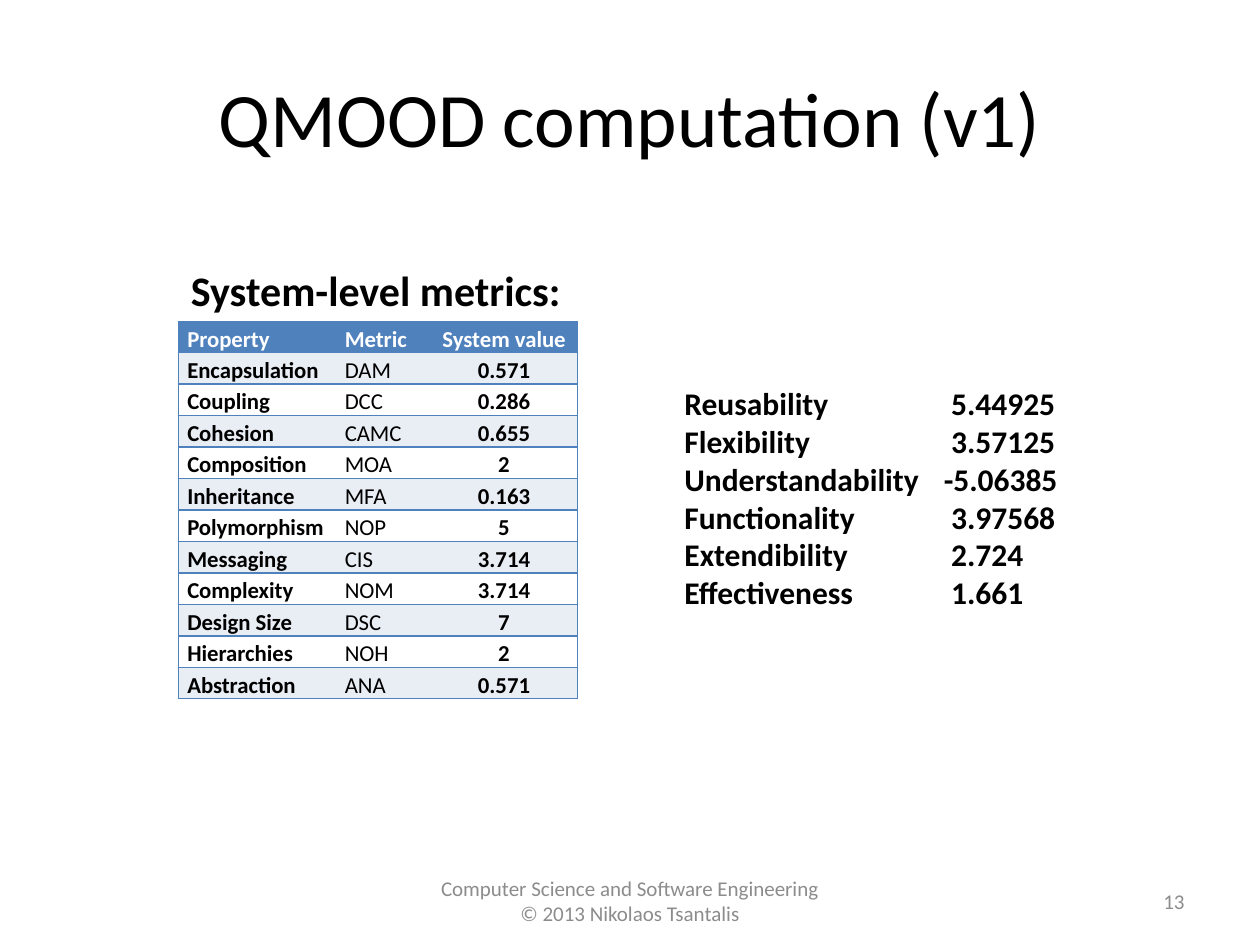
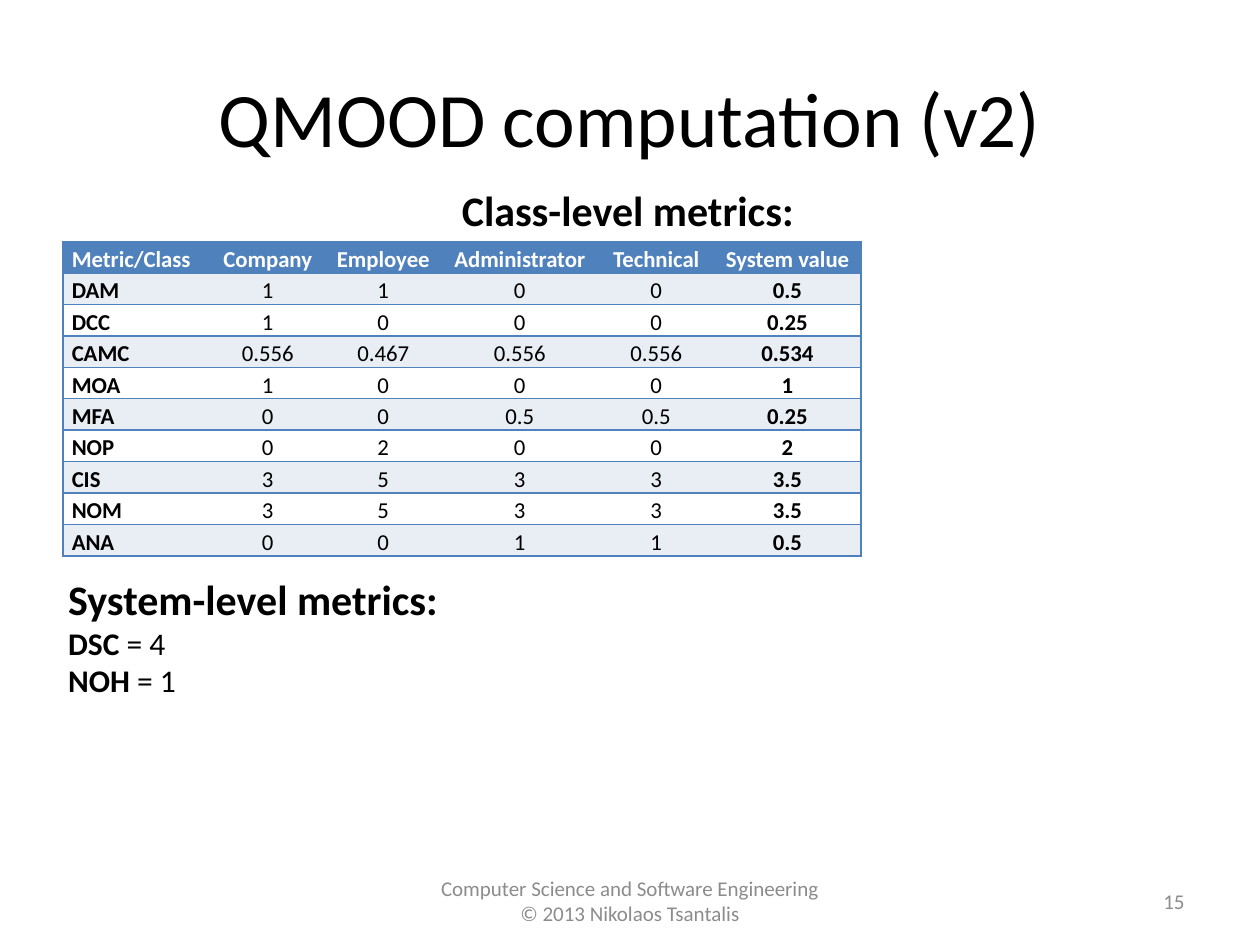
from pptx import Presentation
from pptx.dml.color import RGBColor
from pptx.enum.text import MSO_ANCHOR, PP_ALIGN
from pptx.oxml.ns import qn
from pptx.util import Inches, Pt
from lxml import etree

LEFT, CENTER, RIGHT = PP_ALIGN.LEFT, PP_ALIGN.CENTER, PP_ALIGN.RIGHT
TOP, MIDDLE = MSO_ANCHOR.TOP, MSO_ANCHOR.MIDDLE
BLUE, BAND, WHITE, BLACK, GRAY = "4F81BD", "E9EDF4", "FFFFFF", "000000", "8C8C8C"
FONT = "Calibri"
TITLE_ONLY = 5
COLUMNS, ROWS = 120, 90
ROW_HEIGHT = 2.99


def color(hex_code):
    return RGBColor.from_string(hex_code)


class Deck:
    def __init__(self):
        self.presentation = Presentation()
        self.presentation.slide_width = Inches(10)
        self.presentation.slide_height = Inches(7.5)
        self.column = self.presentation.slide_width / COLUMNS
        self.row = self.presentation.slide_height / ROWS
        self.slide = None

    def place(self, left, top, width, height):
        return (round(left * self.column), round(top * self.row),
                round(width * self.column), round(height * self.row))

    def run(self, paragraph, text, size, hex_code=BLACK, bold=False):
        run = paragraph.add_run()
        run.text = text
        run.font.name = FONT
        run.font.size = Pt(size)
        run.font.bold = bold
        run.font.color.rgb = color(hex_code)

    def start_slide(self, title, number):
        layout = self.presentation.slide_layouts[TITLE_ONLY]
        self.slide = self.presentation.slides.add_slide(layout)
        heading = self.slide.shapes.title
        heading.left, heading.top, heading.width, heading.height = self.place(6, 3.6, 108, 15)
        paragraph = heading.text_frame.paragraphs[0]
        paragraph.alignment = CENTER
        self.run(paragraph, title, 44)
        credits = ["Computer Science and Software Engineering", "© 2013 Nikolaos Tsantalis"]
        self.text((0, 83.4, 120, 4.8), [[(line, 12, False)] for line in credits],
                  GRAY, CENTER, MIDDLE)
        self.text((86, 83.4, 28, 4.8), [[(str(number), 12, False)]], GRAY, RIGHT, MIDDLE)

    def text(self, area, lines, hex_code=BLACK, align=LEFT, anchor=TOP):
        frame = self.slide.shapes.add_textbox(*self.place(*area)).text_frame
        frame.word_wrap = True
        frame.vertical_anchor = anchor
        if align == LEFT:
            frame.margin_right = 0
        for index, line in enumerate(lines):
            paragraph = frame.add_paragraph() if index else frame.paragraphs[0]
            paragraph.alignment = align
            for words, size, bold in line:
                self.run(paragraph, words, size, hex_code, bold)
        return frame

    def scores(self, area, pairs):
        lines = [[(f"{name}\t{value}", 18, True)] for name, value in pairs]
        frame = self.text(area, lines)
        for paragraph, (_, value) in zip(frame.paragraphs, pairs):
            stop = 24.7 if value.startswith("-") else 25.4
            tabs = etree.SubElement(paragraph._p.get_or_add_pPr(), qn("a:tabLst"))
            etree.SubElement(tabs, qn("a:tab"), pos=str(round(stop * self.column)), algn="l")

    def border(self, cell, side, visible):
        line = etree.SubElement(cell._tc.get_or_add_tcPr(), qn(f"a:ln{side}"), w=str(Pt(1)))
        if visible:
            fill = etree.SubElement(line, qn("a:solidFill"))
            etree.SubElement(fill, qn("a:srgbClr"), val=BLUE)
        else:
            etree.SubElement(line, qn("a:noFill"))

    def table(self, left, top, widths, records, left_columns):
        area = self.place(left, top, sum(widths), ROW_HEIGHT * len(records))
        table = self.slide.shapes.add_table(len(records), len(widths), *area).table
        table.horz_banding = False
        last = len(widths) - 1
        for index, width in enumerate(widths):
            table.columns[index].width = round(width * self.column)
        for r, record in enumerate(records):
            table.rows[r].height = round(ROW_HEIGHT * self.row)
            for c, value in enumerate(record):
                cell = table.cell(r, c)
                cell.margin_left = cell.margin_right = Inches(0.07)
                cell.margin_top = cell.margin_bottom = 0
                for side, visible in (("L", c == 0), ("R", c == last), ("T", True), ("B", True)):
                    self.border(cell, side, visible)
                cell.fill.solid()
                cell.fill.fore_color.rgb = color(BLUE if r == 0 else BAND if r % 2 else WHITE)
                paragraph = cell.text_frame.paragraphs[0]
                paragraph.alignment = LEFT if c < left_columns else CENTER
                paragraph.line_spacing = 1.15
                self.run(paragraph, value, 13, BLACK if r else WHITE,
                         r == 0 or c in (0, last))


SYSTEM_METRICS = [
    ("Property", "Metric", "System value"),
    ("Encapsulation", "DAM", "0.571"),
    ("Coupling", "DCC", "0.286"),
    ("Cohesion", "CAMC", "0.655"),
    ("Composition", "MOA", "2"),
    ("Inheritance", "MFA", "0.163"),
    ("Polymorphism", "NOP", "5"),
    ("Messaging", "CIS", "3.714"),
    ("Complexity", "NOM", "3.714"),
    ("Design Size", "DSC", "7"),
    ("Hierarchies", "NOH", "2"),
    ("Abstraction", "ANA", "0.571"),
]
QUALITY_SCORES = [
    ("Reusability", "5.44925"),
    ("Flexibility", "3.57125"),
    ("Understandability", "-5.06385"),
    ("Functionality", "3.97568"),
    ("Extendibility", "2.724"),
    ("Effectiveness", "1.661"),
]
CLASS_METRICS = [
    ("Metric/Class", "Company", "Employee", "Administrator", "Technical", "System value"),
    ("DAM", "1", "1", "0", "0", "0.5"),
    ("DCC", "1", "0", "0", "0", "0.25"),
    ("CAMC", "0.556", "0.467", "0.556", "0.556", "0.534"),
    ("MOA", "1", "0", "0", "0", "1"),
    ("MFA", "0", "0", "0.5", "0.5", "0.25"),
    ("NOP", "0", "2", "0", "0", "2"),
    ("CIS", "3", "5", "3", "3", "3.5"),
    ("NOM", "3", "5", "3", "3", "3.5"),
    ("ANA", "0", "0", "1", "1", "0.5"),
]
SYSTEM_HEADING = [("System-level metrics:", 24, True)]
CLASS_HEADING = [("Class-level metrics:", 24, True)]


def main():
    deck = Deck()

    deck.start_slide("QMOOD computation (v1)", 13)
    deck.table(17, 30.6, [15, 9, 14], SYSTEM_METRICS, 2)
    deck.text((17, 24.6, 38, 6), [SYSTEM_HEADING])
    deck.scores((64, 36, 38, 23), QUALITY_SCORES)

    deck.start_slide("QMOOD computation (v2)", 15)
    deck.table(6, 23, [14, 11, 11, 15, 11, 14], CLASS_METRICS, 1)
    totals = [[(name, 18, True), (f" = {count}", 18, False)]
              for name, count in (("DSC", 4), ("NOH", 1))]
    deck.text((5.3, 54, 38, 13.3), [SYSTEM_HEADING, *totals])
    deck.text((42.8, 17, 34.4, 6), [CLASS_HEADING])

    deck.presentation.save("out.pptx")


if __name__ == "__main__":
    main()
